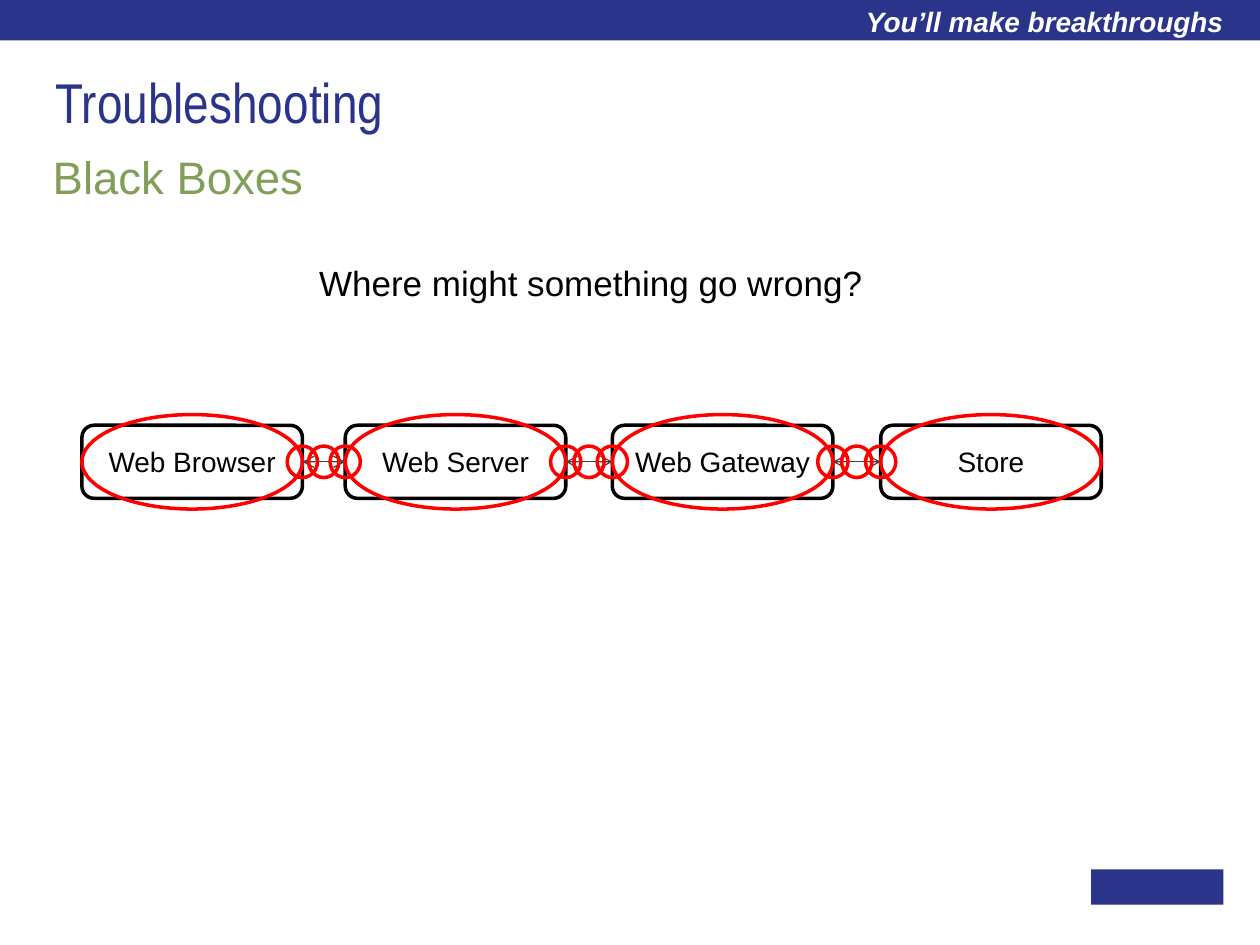
from lxml import etree
from pptx import Presentation
from pptx.dml.color import RGBColor
from pptx.enum.shapes import MSO_CONNECTOR, MSO_SHAPE
from pptx.enum.text import MSO_ANCHOR, MSO_AUTO_SIZE, PP_ALIGN
from pptx.oxml.ns import qn
from pptx.util import Inches, Pt

NAVY = RGBColor(0x29, 0x34, 0x8A)
GREEN = RGBColor(0x82, 0x9F, 0x59)
GRAY = RGBColor(0x40, 0x40, 0x40)
RED = RGBColor(0xFF, 0x00, 0x00)
BLACK = RGBColor(0x00, 0x00, 0x00)
WHITE = RGBColor(0xFF, 0xFF, 0xFF)

STAGES = [
    ("Web Browser", 0.65),
    ("Web Server", 2.74),
    ("Web Gateway", 4.86),
    ("Store", 6.99),
]


def place(item, box):
    item.left, item.top, item.width, item.height = map(Inches, box)


def write(item, text, size, color, align=PP_ALIGN.LEFT, font="Arial",
          anchor=MSO_ANCHOR.TOP, inset=None, space=0.85):
    frame = item.text_frame
    frame.text = text
    frame.word_wrap = True
    frame.auto_size = MSO_AUTO_SIZE.NONE
    frame.vertical_anchor = anchor
    if inset is not None:
        frame.margin_left = frame.margin_right = Inches(inset)
        frame.margin_top = frame.margin_bottom = Inches(inset)
    para = frame.paragraphs[0]
    para.alignment = align
    para.line_spacing = space
    para.space_before = Pt(0)
    run = para.runs[0].font
    run.name, run.size, run.color.rgb = font, Pt(size), color
    return run


def add_form(slide, kind, box, fill=None, line=None):
    form = slide.shapes.add_shape(kind, *map(Inches, box))
    form.shadow.inherit = False
    if fill is None:
        form.fill.background()
    else:
        form.fill.solid()
        form.fill.fore_color.rgb = fill
    if line is None:
        form.line.fill.background()
    else:
        form.line.color.rgb = line
        form.line.width = Pt(2)
    return form


def add_label(slide, box, text, size, color, **style):
    label = slide.shapes.add_textbox(*map(Inches, box))
    return write(label, text, size, color, **style)


def add_arrow(slide, start, end, mid):
    arrow = slide.shapes.add_connector(
        MSO_CONNECTOR.STRAIGHT, *map(Inches, (start, mid, end, mid)))
    arrow.line.color.rgb = GRAY
    arrow.line.width = Pt(0.75)
    line = arrow.line._get_or_add_ln()
    for tag in ("a:headEnd", "a:tailEnd"):
        etree.SubElement(line, qn(tag)).set("type", "arrow")
    etree.SubElement(arrow._element.spPr, qn("a:effectLst"))


def add_banner(slide, box):
    left, top, width, height = box
    add_form(slide, MSO_SHAPE.RECTANGLE, box, NAVY)
    font = add_label(slide, (left + width - 4.69, top + 0.03, 4.45, 0.22),
                     "You’ll make breakthroughs", 16, WHITE,
                     align=PP_ALIGN.RIGHT, inset=0.05)
    font.bold = font.italic = True


def add_heading(slide, box):
    left, top, width, height = box
    title = slide.shapes.title
    place(title, (left + 0.02, top, width - 0.03, 0.73))
    write(title, "Troubleshooting", 32, NAVY, font="Arial Narrow",
          anchor=MSO_ANCHOR.BOTTOM)
    add_label(slide, (left, top + height - 0.38, width, 0.38),
              "Black Boxes", 26, GREEN)


def add_chain(slide, box):
    left, top, width, height = box
    mid = top + height / 2
    wide, tall, oval = 1.75, 0.58, 0.75
    dot_w, dot_h = 0.24, 0.25
    starts = [left + x - STAGES[0][1] for _, x in STAGES]
    gaps = [(a + wide, b) for a, b in zip(starts, starts[1:])]

    # Stages
    for (name, _), x in zip(STAGES, starts):
        stage = add_form(slide, MSO_SHAPE.ROUNDED_RECTANGLE,
                         (x, mid - tall / 2, wide, tall), WHITE, BLACK)
        write(stage, name, 16, BLACK, align=PP_ALIGN.CENTER,
              anchor=MSO_ANCHOR.MIDDLE, space=1.0)

    # Links between stages
    for start, end in gaps:
        add_arrow(slide, start, end, mid)

    # Possible faults: each stage, then both ends and middle of each link
    for x in starts:
        add_form(slide, MSO_SHAPE.OVAL, (x, mid - oval / 2, wide, oval),
                 line=RED)
    for start, end in gaps:
        for x in ((start + end) / 2, start, end):
            add_form(slide, MSO_SHAPE.OVAL,
                     (x - dot_w / 2, mid - dot_h / 2, dot_w, dot_h), line=RED)


def main():
    deck = Presentation()
    deck.slide_width, deck.slide_height = Inches(10), Inches(7.5)
    slide = deck.slides.add_slide(deck.slide_layouts[5])

    # Plain block at the foot
    add_form(slide, MSO_SHAPE.RECTANGLE, (8.66, 6.9, 1.05, 0.28), NAVY)
    add_banner(slide, (0, 0, 10, 0.32))
    add_heading(slide, (0.32, 0.39, 9.31, 1.19))
    # Question
    add_label(slide, (0.65, 2.08, 8.08, 0.42),
              "Where might something go wrong?", 20, BLACK,
              align=PP_ALIGN.CENTER, inset=0.05)
    add_chain(slide, (0.65, 3.29, 8.09, 0.75))
    deck.save("out.pptx")


if __name__ == "__main__":
    main()
